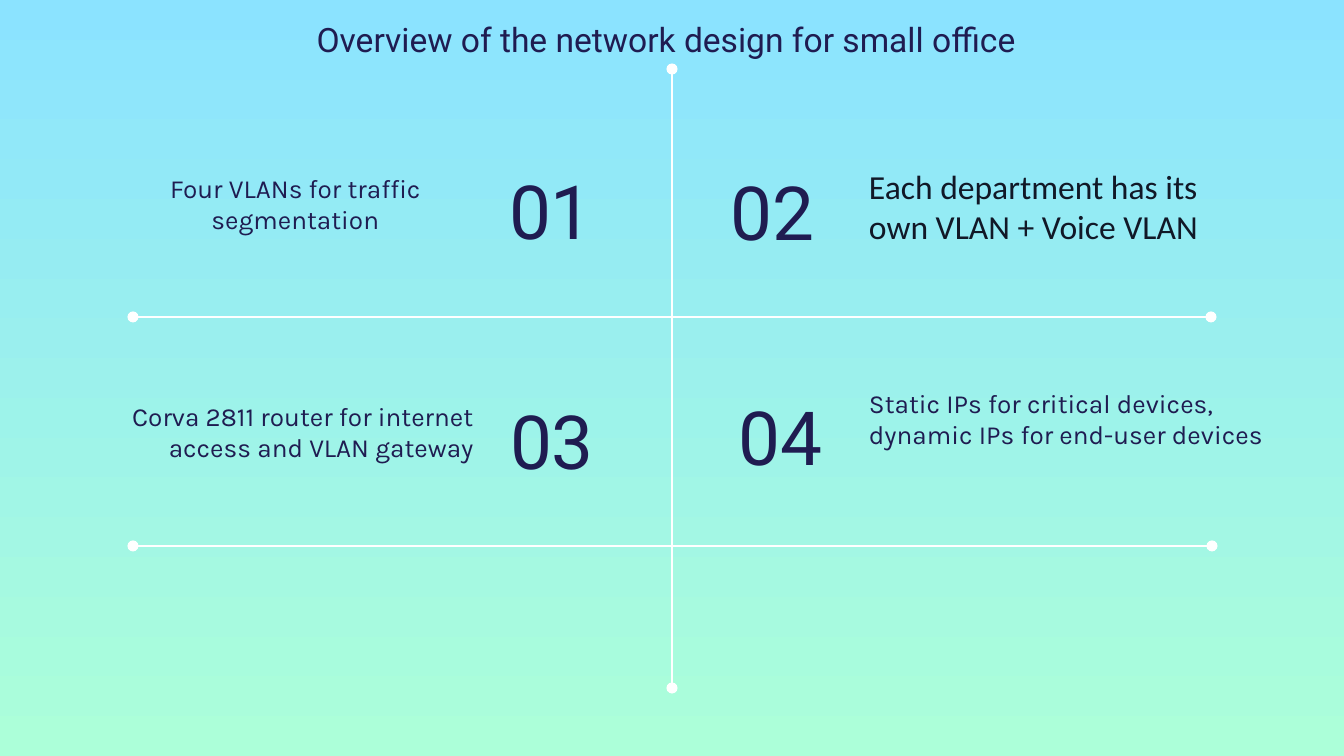
from lxml.etree import SubElement
from pptx import Presentation
from pptx.dml.color import RGBColor
from pptx.enum.shapes import MSO_CONNECTOR
from pptx.enum.text import MSO_ANCHOR, MSO_AUTO_SIZE, PP_ALIGN
from pptx.oxml.ns import qn
from pptx.util import Emu, Pt

COLORS = {
    "sky": "8BE3FF",
    "mint": "ACFFD9",
    "navy": "1F1C51",
    "ink": "111827",
    "white": "FFFFFF",
}
SCALE = 914400 / 134.4  # EMU per px


def px(value):
    return Emu(round(value * SCALE))


def write_text(shape, box, text, font_name, size, color, alignment, anchor):
    shape.left, shape.top, shape.width, shape.height = map(px, box)
    frame = shape.text_frame
    frame.word_wrap = True
    frame.auto_size = MSO_AUTO_SIZE.NONE
    frame.vertical_anchor = anchor
    frame.margin_left = frame.margin_right = px(13)
    frame.margin_top = frame.margin_bottom = px(13)
    paragraph = frame.paragraphs[0]
    paragraph.text = text
    paragraph.alignment = alignment
    paragraph.font.name = font_name
    paragraph.font.size = Pt(size)
    paragraph.font.color.rgb = RGBColor.from_string(COLORS[color])


presentation = Presentation()
presentation.slide_width = px(1344)
presentation.slide_height = px(756)
slide = presentation.slides.add_slide(presentation.slide_layouts[5])

# Background gradient, top to bottom
background = slide.background.fill
background.gradient()
background.gradient_angle = 270
for stop, color in zip(background.gradient_stops, ("sky", "mint")):
    stop.color.rgb = RGBColor.from_string(COLORS[color])

# Title
write_text(slide.shapes.title, (231, 5, 798, 67),
           "Overview of the network design for small office",
           "Roboto", 18, "navy", PP_ALIGN.RIGHT, MSO_ANCHOR.BOTTOM)

# Grid lines with round ends
for x1, y1, x2, y2 in [
    (672, 69, 672, 688),
    (133, 317, 1211, 317),
    (133, 546, 1212, 546),
]:
    line = slide.shapes.add_connector(
        MSO_CONNECTOR.STRAIGHT, px(x1), px(y1), px(x2), px(y2))
    line.line.color.rgb = RGBColor.from_string(COLORS["white"])
    line.line.width = Pt(1.5)
    outline = line.line._get_or_add_ln()
    for end in ("a:headEnd", "a:tailEnd"):
        SubElement(outline, qn(end), type="oval")
    SubElement(line._element.spPr, qn("a:effectLst"))

# Numbers: box, text, alignment
for box, number, alignment in [
    ((496, 152, 175, 116), "01", PP_ALIGN.LEFT),
    ((718, 153, 117, 116), "02", PP_ALIGN.LEFT),
    ((497, 382, 175, 116), "03", PP_ALIGN.LEFT),
    ((672, 378, 163, 116), "04", PP_ALIGN.RIGHT),
]:
    shape = slide.shapes.add_textbox(0, 0, 0, 0)
    write_text(shape, box, number, "Roboto", 40, "navy", alignment,
               MSO_ANCHOR.MIDDLE)

# Descriptions: box, text, font, size, color, alignment
for box, text, font_name, size, color, alignment in [
    ((95, 159, 401, 93), "Four VLANs for traffic segmentation",
     "Karla", 14, "navy", PP_ALIGN.CENTER),
    ((856, 153, 401, 93), "Each department has its own VLAN + Voice VLAN",
     "Calibri", 18, "ink", PP_ALIGN.LEFT),
    ((86, 387, 401, 93), "Corva 2811 router for internet access and VLAN gateway",
     "Karla", 14, "navy", PP_ALIGN.RIGHT),
    ((856, 374, 431, 93),
     "Static IPs for critical devices, dynamic IPs for end-user devices",
     "Karla", 14, "navy", PP_ALIGN.LEFT),
]:
    shape = slide.shapes.add_textbox(0, 0, 0, 0)
    write_text(shape, box, text, font_name, size, color, alignment,
               MSO_ANCHOR.TOP)

presentation.save("out.pptx")
